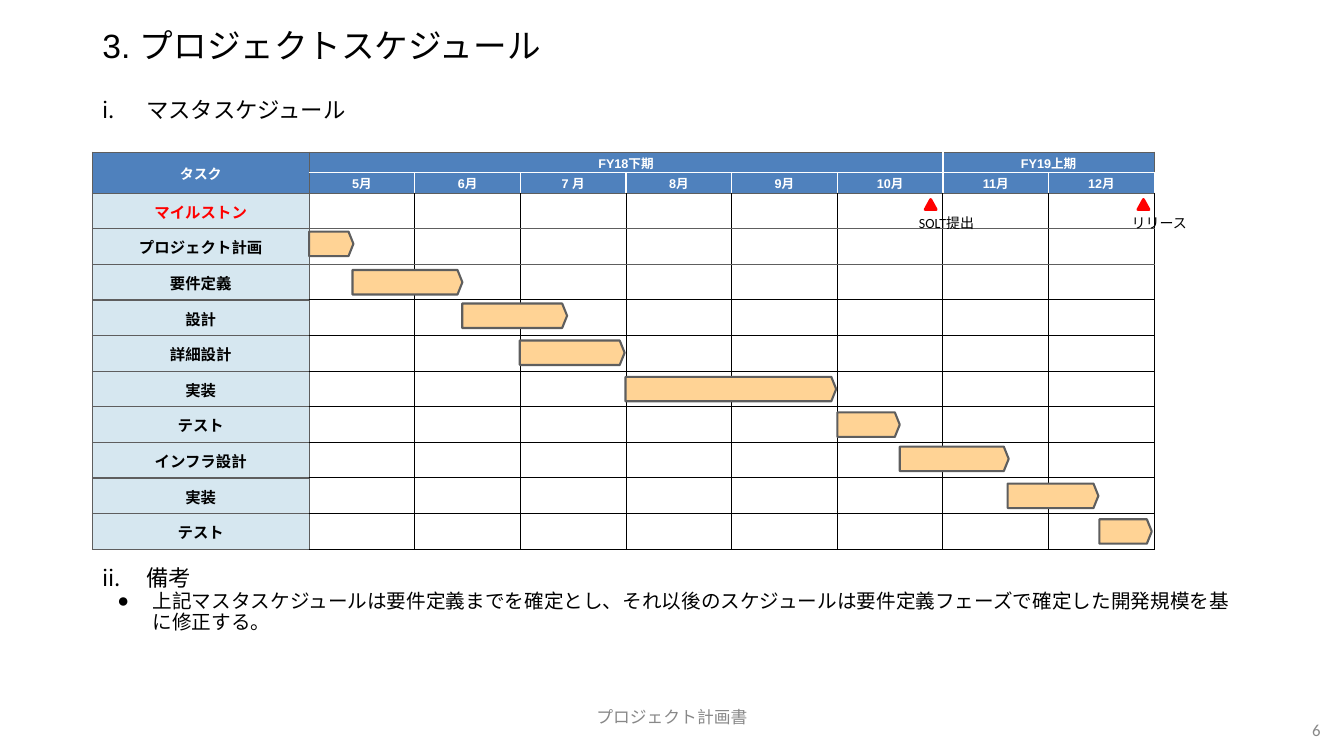
import pptx
import pptx.dml.color
import pptx.enum.shapes
import pptx.enum.text
import pptx.oxml
import pptx.oxml.ns
import pptx.util
from lxml import etree

Pt = pptx.util.Pt
ALIGN = pptx.enum.text.PP_ALIGN
MIDDLE = pptx.enum.text.MSO_ANCHOR.MIDDLE
SHAPE = pptx.enum.shapes.MSO_SHAPE

COLORS = {
    "text": "000000", "muted": "888888", "white": "FFFFFF", "header": "4F81BD",
    "task": "D6E7F0", "edge": "5E5E5E", "bar": "FFD395", "alert": "FF0000",
}
TASK_WIDTH, MONTH_WIDTH = 154.8, 75.46
HEADER_HEIGHT, ROW_HEIGHT = 14.65, 25.43
MONTHS = ["5月", "6月", "7 月", "8月", "9月", "10月", "11月", "12月"]
HALVES = [("FY18下期", 1, 6), ("FY19上期", 7, 8)]
TASKS = ["マイルストン", "プロジェクト計画", "要件定義", "設計", "詳細設計",
         "実装", "テスト", "インフラ設計", "実装", "テスト"]
BARS = [(0, 31.7, 2), (31, 78.5, 4), (109.4, 74.9, 2.5), (150.5, 74.9, 3.5),
        (226, 150.5, 4), (377.3, 44.6, 4), (421.9, 77.8, 3), (499, 64.8, 4),
        (564.5, 37.4, 4)]
MILESTONES = [("SOLT提出", 440), ("リリース", 592)]
EDGE, GRID, WHITE = ("edge", 1), ("text", 0.75), ("white", 1)


def rgb(name):
    """Return the named colour."""
    return pptx.dml.color.RGBColor.from_string(COLORS[name])


def style(paragraph, size, color="text", font="Arial", align=ALIGN.LEFT, bold=False):
    """Set the font and alignment of a paragraph."""
    paragraph.alignment = align
    paragraph.font.name = font
    paragraph.font.size = Pt(size)
    paragraph.font.bold = bold
    paragraph.font.color.rgb = rgb(color)


def add_text_box(slide, box):
    """Add a wrapping text box and return its text frame."""
    frame = slide.shapes.add_textbox(*map(Pt, box)).text_frame
    frame.word_wrap = True
    return frame


def add_label(slide, box, text, size, color="text", align=ALIGN.LEFT, anchor=None):
    """Add a one-line label."""
    frame = add_text_box(slide, box)
    frame.vertical_anchor = anchor
    frame.text = text
    style(frame.paragraphs[0], size, color, "Calibri", align)


def add_bullet(paragraph, text, size, marker, indent, hanging, before=0):
    """Fill a paragraph with bulleted text."""
    paragraph.text = text
    paragraph.line_spacing = 0.9
    paragraph.space_before = Pt(before)
    properties = paragraph._p.get_or_add_pPr()
    properties.set("marL", str(Pt(indent)))
    properties.set("indent", str(-Pt(hanging)))
    namespace = pptx.oxml.ns.nsdecls("a")
    color = f'<a:buClr {namespace}><a:srgbClr val="{COLORS["text"]}"/></a:buClr>'
    font = f'<a:buFont {namespace} typeface="Arial"/>'
    if isinstance(marker, int):
        sign = f'<a:buAutoNum {namespace} type="romanLcPeriod" startAt="{marker}"/>'
    else:
        sign = f'<a:buChar {namespace} char="{marker}"/>'
    for xml in (color, font, sign):
        properties.append(pptx.oxml.parse_xml(xml))
    style(paragraph, size)


def add_title(slide, box):
    """Place the slide title."""
    title = slide.shapes.title
    title.left, title.top, title.width, title.height = map(Pt, box)
    title.text_frame.text = "3. プロジェクトスケジュール"
    title.text_frame.vertical_anchor = MIDDLE
    paragraph = title.text_frame.paragraphs[0]
    paragraph.line_spacing = 0.9
    style(paragraph, 24)


def add_schedule_heading(slide, box):
    """Add the heading above the schedule."""
    frame = add_text_box(slide, box)
    add_bullet(frame.paragraphs[0], "マスタスケジュール", 16, 1, 31.5, 31.5, 10)


def add_remarks(slide, box):
    """Add the remarks below the schedule."""
    frame = add_text_box(slide, box)
    add_bullet(frame.paragraphs[0], "備考", 16, 2, 31.5, 31.5, 10)
    add_bullet(frame.add_paragraph(),
               "上記マスタスケジュールは要件定義までを確定とし、それ以後のスケジュールは"
               "要件定義フェーズで確定した開発規模を基に修正する。", 14, "●", 36, 25.2)


def format_cell(cell, fill, edges, text="", size=9, color="white"):
    """Set text, fill and the left, right, top and bottom edges of a cell."""
    cell.margin_left = cell.margin_right = cell.margin_top = Pt(0.72)
    cell.margin_bottom = 0
    cell.vertical_anchor = MIDDLE
    cell.text = text
    style(cell.text_frame.paragraphs[0], size, color, align=ALIGN.CENTER, bold=True)
    properties = cell._tc.get_or_add_tcPr()
    for side, (name, width) in zip("LRTB", edges):
        line = etree.SubElement(properties, pptx.oxml.ns.qn(f"a:ln{side}"), w=str(Pt(width)))
        solid = etree.SubElement(line, pptx.oxml.ns.qn("a:solidFill"))
        etree.SubElement(solid, pptx.oxml.ns.qn("a:srgbClr"), val=COLORS[name])
    cell.fill.solid()
    cell.fill.fore_color.rgb = rgb(fill)


def add_schedule_table(slide, box):
    """Add the month grid with its tasks."""
    table = slide.shapes.add_table(
        len(TASKS) + 2, len(MONTHS) + 1, *map(Pt, box)).table
    table.first_row = table.horz_banding = False
    for index, column in enumerate(table.columns):
        column.width = Pt(MONTH_WIDTH if index else TASK_WIDTH)
    for index, row in enumerate(table.rows):
        row.height = Pt(HEADER_HEIGHT if index < 2 else ROW_HEIGHT)

    for row in range(2):
        format_cell(table.cell(row, 0), "header", [EDGE] * 4, "" if row else "タスク", 10)
    table.cell(0, 0).merge(table.cell(1, 0))
    for text, first, last in HALVES:
        edges = [EDGE if first == 1 else WHITE,
                 EDGE if last == len(MONTHS) else WHITE, EDGE, WHITE]
        for column in range(first, last + 1):
            format_cell(table.cell(0, column), "header", edges,
                        text if column == first else "")
        table.cell(0, first).merge(table.cell(0, last))
    for column, month in enumerate(MONTHS, 1):
        left = EDGE if column == 1 else WHITE
        format_cell(table.cell(1, column), "header", [left, WHITE, WHITE, EDGE], month)

    for row, task in enumerate(TASKS, 2):
        color = "alert" if row == 2 else "text"
        format_cell(table.cell(row, 0), "task", [EDGE] * 4, task, 11, color)
        top = EDGE if row <= 4 else GRID
        bottom = EDGE if row <= 3 else GRID
        for column in range(1, len(MONTHS) + 1):
            left = EDGE if column == 1 else GRID
            format_cell(table.cell(row, column), "white", [left, GRID, top, bottom])


def add_marker(slide, kind, box, fill, line, width):
    """Add a filled and outlined shape."""
    shape = slide.shapes.add_shape(kind, *map(Pt, box))
    shape.shadow.inherit = False
    shape.fill.solid()
    shape.fill.fore_color.rgb = rgb(fill)
    shape.line.color.rgb = rgb(line)
    shape.line.width = Pt(width)
    return shape


def add_schedule(slide, box):
    """Add the table, its task bars and its milestones."""
    add_schedule_table(slide, box)
    grid_left = box[0] + TASK_WIDTH
    grid_top = box[1] + 2 * HEADER_HEIGHT
    for row, (start, width, drop) in enumerate(BARS, 1):
        bar_box = (grid_left + start, grid_top + row * ROW_HEIGHT + drop, width, 17.5)
        bar = add_marker(slide, SHAPE.PENTAGON, bar_box, "bar", "edge", 1.5)
        bar.adjustments[0] = 0.2
    for text, start in MILESTONES:
        left = grid_left + start
        add_marker(slide, SHAPE.ISOSCELES_TRIANGLE, (left, grid_top + 4.5, 7.9, 7.2),
                   "alert", "alert", 2)
        add_label(slide, (left - 11.5, grid_top + 12, 63.4, 19.4), text, 10)


def add_footer(slide, box):
    """Add the document name and the page number."""
    left, top, width, height = box
    add_label(slide, (left + 318, top, 324, 28.8), "プロジェクト計画書", 12,
              "muted", ALIGN.CENTER, MIDDLE)
    add_label(slide, (left + width - 74.4, top + height - 33, 64.8, 28.8), "6", 12,
              "muted", ALIGN.RIGHT, MIDDLE)


def main():
    """Build and save the schedule slide."""
    presentation = pptx.Presentation()
    presentation.slide_width, presentation.slide_height = Pt(960), Pt(540)
    slide = presentation.slides.add_slide(presentation.slide_layouts[5])
    add_title(slide, (66, 10, 828, 48))
    add_schedule_heading(slide, (66, 67.5, 828, 41))
    add_schedule(slide, (66, 108.7, TASK_WIDTH + len(MONTHS) * MONTH_WIDTH,
                         2 * HEADER_HEIGHT + len(TASKS) * ROW_HEIGHT))
    add_remarks(slide, (66, 401.7, 828, 96))
    add_footer(slide, (0, 497.5, 960, 42.5))
    presentation.save("out.pptx")


if __name__ == "__main__":
    main()
